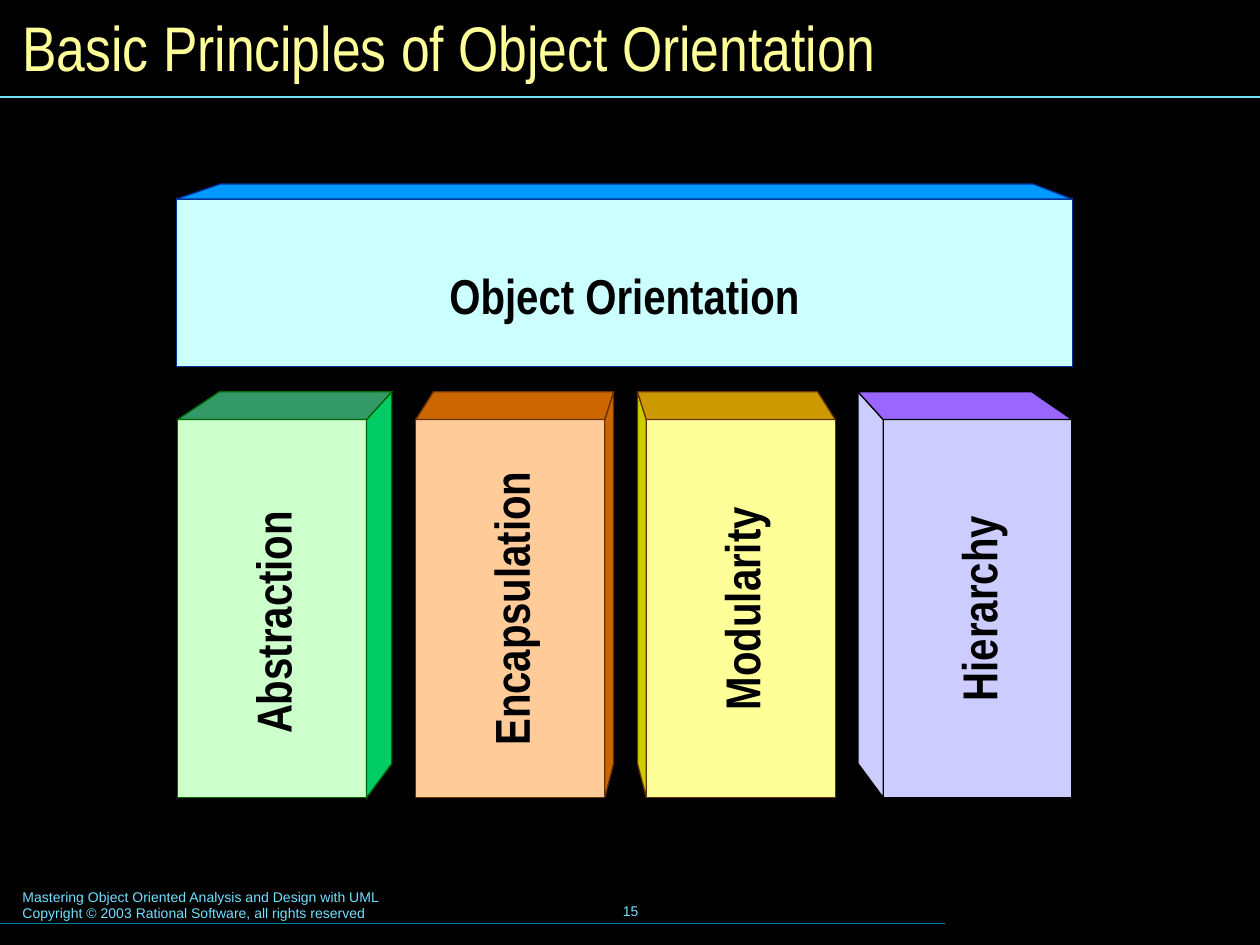
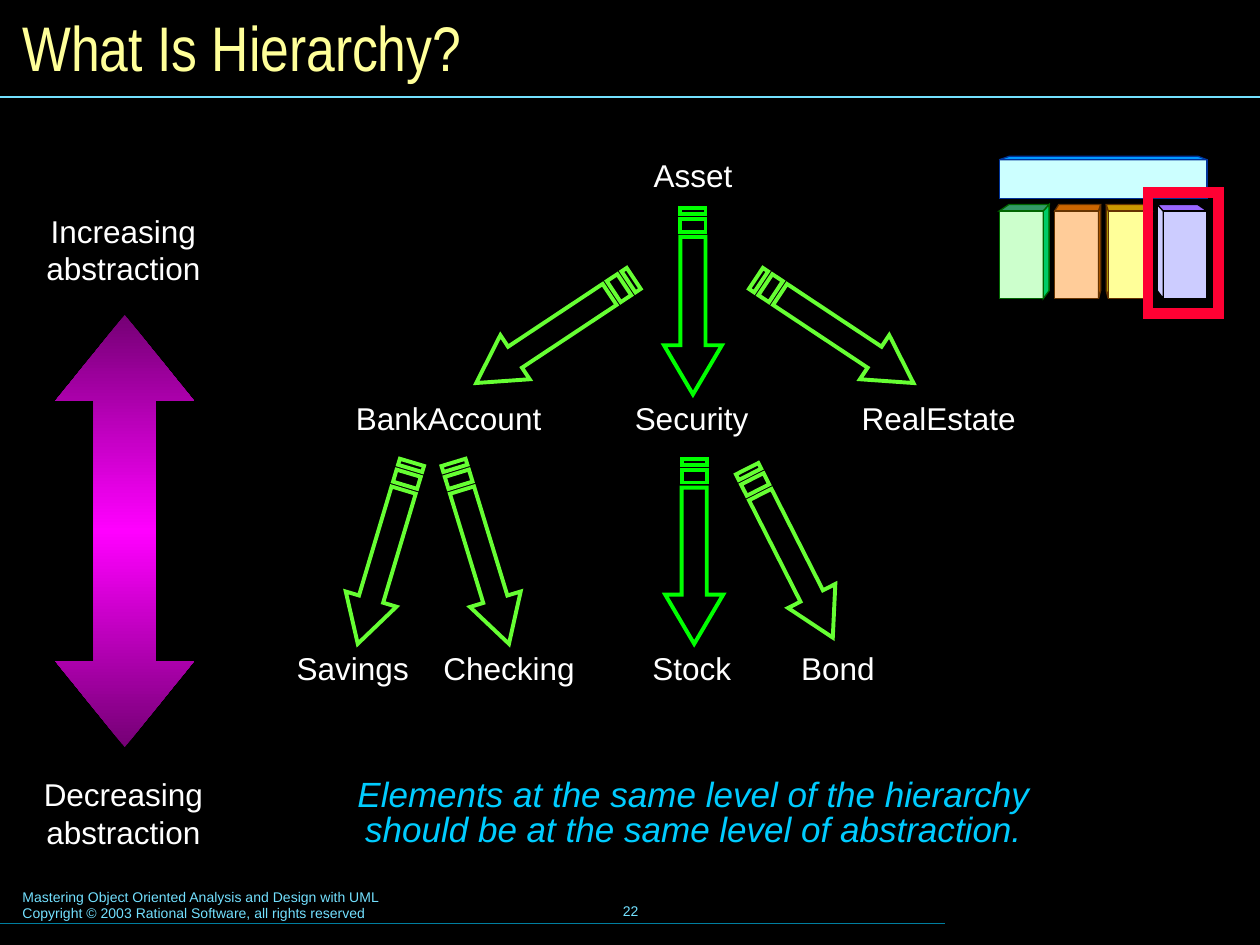
from copy import deepcopy
from math import hypot

from lxml import etree
from pptx import Presentation
from pptx.dml.color import RGBColor
from pptx.enum.shapes import MSO_CONNECTOR, MSO_SHAPE
from pptx.enum.text import MSO_ANCHOR, PP_ALIGN
from pptx.oxml.ns import qn
from pptx.util import Inches, Pt

STRAIGHT = MSO_CONNECTOR.STRAIGHT
RECTANGLE, UP_DOWN_ARROW = MSO_SHAPE.RECTANGLE, MSO_SHAPE.UP_DOWN_ARROW
LEFT, CENTER = PP_ALIGN.LEFT, PP_ALIGN.CENTER
TOP, MIDDLE = MSO_ANCHOR.TOP, MSO_ANCHOR.MIDDLE

# Shared content and styles
WIDTH, HEIGHT = 10, 7.5
FOOTER = ["Mastering Object Oriented Analysis and Design with UML",
          "Copyright © 2003 Rational Software, all rights reserved"]
BACKGROUND, RULE, FOOT_RULE = "000000", "73E1FF", "007E9F"
TITLE_STYLE = {"size": 36, "name": "Arial Narrow", "color": "FFFF99"}
FOOTER_STYLE = {"size": 8, "name": "Arial", "color": RULE}
BLOCK_STYLE = {"size": 28, "name": "Arial Narrow", "color": "000000", "bold": True}
NODE_STYLE = {"size": 18, "name": "Arial", "color": "FFFFFF"}
NOTE_STYLE = {"size": 20, "name": "Arial", "color": "00CCFF", "italic": True}

# Temple: a beam resting on four pillars
TEMPLE_ORIGIN, TEMPLE_WIDTH = (1.4, 1.46), 7.11
BEAM = {"label": "Object Orientation", "left": 1.4, "top": 1.58, "height": 1.33,
        "insets": (0.35, 0.31), "front": "CCFFFF", "lid": "0099FF", "edge": "003399"}
PILLAR_TOP, PILLAR_BACK, PILLAR_WIDTH, PILLAR_HEIGHT = 3.33, 3.11, 1.5, 3
SIDE_FOOT = 6.06
# label, left, depth (sign = visible side), lid inset, label drop, front, side, lid, edge
PILLARS = [
    ("Abstraction", 1.41, 0.2, 0.33, 0.11, "CCFFCC", "00CC66", "339966", "006600"),
    ("Encapsulation", 3.3, 0.07, 0.14, 0, "FFCC99", "CC6600", "CC6600", "663300"),
    ("Modularity", 5.13, -0.07, 0.14, 0, "FFFF99", "CCCC00", "CC9900", "663300"),
    ("Hierarchy", 7.01, -0.2, 0.32, 0, "CCCCFF", "CCCCFF", "9966FF", "000000"),
]

# Hierarchy tree: level top, then (name, centre)
LEVELS = [
    (1.24, [("Asset", 5.5)]),
    (3.17, [("BankAccount", 3.56), ("Security", 5.49), ("RealEstate", 7.45)]),
    (5.15, [("Savings", 2.8), ("Checking", 4.04), ("Stock", 5.49), ("Bond", 6.65)]),
]
LETTER_ROOM, NODE_ROOM = 0.12, 0.3
ARROWS = [  # tail, tip
    ((5.03, 2.21), (3.78, 3.04)), ((5.5, 1.65), (5.5, 3.13)),
    ((6.0, 2.21), (7.25, 3.04)), ((3.27, 3.67), (2.84, 5.11)),
    ((3.6, 3.67), (4.04, 5.11)), ((5.51, 3.64), (5.51, 5.11)),
    ((5.93, 3.72), (6.61, 5.06)),
]
UPRIGHT = {"color": "00FF00", "head": 0.39, "half": 0.23}
SLANTED = {"color": "66FF33", "head": 0.37, "half": 0.21}
SHAFT_HALF, SHAFT_START = 0.1, 0.23
STRIPES = [(0, 0.05), (0.09, 0.19)]
SCALE_LABELS = [(1.63, ["Increasing", "abstraction"]), (6.1, ["Decreasing", "abstraction"])]
SCALE_STOPS = [(0, "750075"), (0.5, "FF00FF"), (1, "750075")]
SCALE_PROPORTIONS = {"adj1": 45000, "adj2": 62000}
NOTE = "Elements at the same level of the hierarchy should be at the same level of abstraction."


def rgb(hex_color):
    return RGBColor.from_string(hex_color)


def paint(shape, fill=None, edge=None, weight=0.75):
    shape.shadow.inherit = False
    if fill:
        shape.fill.solid()
        shape.fill.fore_color.rgb = rgb(fill)
    else:
        shape.fill.background()
    if edge:
        shape.line.color.rgb = rgb(edge)
        shape.line.width = Pt(weight)
        outline = shape._element.spPr.find(qn("a:ln"))
        etree.SubElement(outline, qn("a:miter"), lim="800000")
    else:
        shape.line.fill.background()


def add_box(slide, left, top, width, height, **look):
    box = slide.shapes.add_shape(RECTANGLE, *map(Inches, (left, top, width, height)))
    paint(box, **look)


def add_outline(slide, contours, **look):
    contours = [[(Inches(x), Inches(y)) for x, y in contour] for contour in contours]
    builder = slide.shapes.build_freeform(*contours[0][0], scale=1.0)
    for contour in contours:
        if contour is not contours[0]:
            builder.move_to(*contour[0])
        builder.add_line_segments(contour[1:], close=True)
    paint(builder.convert_to_shape(), **look)


def add_text(slide, lines, left, top, width, height, style, align=LEFT, anchor=TOP,
             wrap=True, insets=(0.1, 0.05), rotation=0, spacing=None):
    box = slide.shapes.add_textbox(*map(Inches, (left, top, width, height)))
    box.rotation = rotation
    frame = box.text_frame
    frame.word_wrap, frame.vertical_anchor = wrap, anchor
    frame.margin_left = frame.margin_right = Inches(insets[0])
    frame.margin_top = frame.margin_bottom = Inches(insets[1])
    for number, line in enumerate(lines):
        paragraph = frame.add_paragraph() if number else frame.paragraphs[0]
        paragraph.alignment, paragraph.line_spacing = align, spacing
        run = paragraph.add_run()
        run.text = line
        for key, value in style.items():
            if key == "color":
                run.font.color.rgb = rgb(value)
            else:
                setattr(run.font, key, Pt(value) if key == "size" else value)


def add_rule(slide, y, length, color):
    rule = slide.shapes.add_connector(STRAIGHT, 0, Inches(y), Inches(length), Inches(y))
    rule.line.color.rgb = rgb(color)
    rule.line.width = Pt(0.75)
    etree.SubElement(rule._element.spPr, qn("a:effectLst"))


def start_slide(deck, title, number):
    slide = deck.slides.add_slide(deck.slide_layouts[6])
    slide.background.fill.solid()
    slide.background.fill.fore_color.rgb = rgb(BACKGROUND)
    add_text(slide, FOOTER, 0.08, 7, 5.1, 0.37, FOOTER_STYLE)
    add_text(slide, [str(number)], 3.42, 6.98, 3.17, 0.5, FOOTER_STYLE, CENTER, MIDDLE)
    add_rule(slide, 7.33, WIDTH * 0.75, FOOT_RULE)
    add_rule(slide, 0.77, WIDTH, RULE)
    add_text(slide, [title], 0.08, 0.08, 9.84, 0.58, TITLE_STYLE, anchor=MIDDLE)
    return slide


def add_temple(slide, origin=TEMPLE_ORIGIN, width=TEMPLE_WIDTH, labelled=True):
    scale = width / TEMPLE_WIDTH

    def place(x, y):
        return (origin[0] + (x - TEMPLE_ORIGIN[0]) * scale,
                origin[1] + (y - TEMPLE_ORIGIN[1]) * scale)

    def add_front(left, top, width, height, **look):
        add_box(slide, *place(left, top), width * scale, height * scale, **look)

    def add_face(points, **look):
        add_outline(slide, [[place(*point) for point in points]], **look)

    def add_label(text, center_x, center_y, width, rotation=0):
        if labelled:
            add_text(slide, [text], center_x - width / 2, center_y - 0.3, width, 0.6,
                     BLOCK_STYLE, CENTER, MIDDLE, rotation=rotation)

    # Beam
    left, top, edge = BEAM["left"], BEAM["top"], BEAM["edge"]
    right, back = left + TEMPLE_WIDTH, TEMPLE_ORIGIN[1]
    inset_left, inset_right = BEAM["insets"]
    add_front(left, top, TEMPLE_WIDTH, BEAM["height"], fill=BEAM["front"], edge=edge)
    add_face([(right, top), (right - inset_right, back), (left + inset_left, back),
              (left, top)], fill=BEAM["lid"], edge=edge)
    add_label(BEAM["label"], (left + right) / 2, 2.34, TEMPLE_WIDTH)

    # Pillars
    foot = PILLAR_TOP + PILLAR_HEIGHT
    for label, left, depth, inset, drop, front, side, lid, edge in PILLARS:
        near, far = left + PILLAR_WIDTH, left
        if depth < 0:
            near, far, inset = far, near, -inset
        add_front(left, PILLAR_TOP, PILLAR_WIDTH, PILLAR_HEIGHT, fill=front, edge=edge)
        add_face([(near + depth, PILLAR_BACK), (near, PILLAR_TOP), (near, foot),
                  (near + depth, SIDE_FOOT)], fill=side, edge=edge)
        add_face([(far, PILLAR_TOP), (far + inset, PILLAR_BACK),
                  (near + depth, PILLAR_BACK), (near, PILLAR_TOP)], fill=lid, edge=edge)
        add_label(label, left + PILLAR_WIDTH / 2, PILLAR_TOP + PILLAR_HEIGHT / 2 + drop,
                  PILLAR_HEIGHT, rotation=270)


def add_striped_arrow(slide, tail, tip):
    look = UPRIGHT if tail[0] == tip[0] else SLANTED
    dx, dy = tip[0] - tail[0], tip[1] - tail[1]
    length = hypot(dx, dy)
    ux, uy = dx / length, dy / length
    neck, half = length - look["head"], look["half"]
    body = [(SHAFT_START, -SHAFT_HALF), (neck, -SHAFT_HALF), (neck, -half), (length, 0),
            (neck, half), (neck, SHAFT_HALF), (SHAFT_START, SHAFT_HALF)]
    stripes = [[(start, -SHAFT_HALF), (end, -SHAFT_HALF), (end, SHAFT_HALF),
                (start, SHAFT_HALF)] for start, end in STRIPES]
    contours = [[(tail[0] + along * ux - across * uy, tail[1] + along * uy + across * ux)
                 for along, across in contour] for contour in [body, *stripes]]
    add_outline(slide, contours, edge=look["color"], weight=2.25)


def add_abstraction_scale(slide):
    arrow = slide.shapes.add_shape(UP_DOWN_ARROW, *map(Inches, (0.44, 2.5, 1.1, 3.43)))
    paint(arrow)
    properties = arrow._element.spPr
    guides = properties.find(".//" + qn("a:avLst"))
    guides.clear()
    for name, share in SCALE_PROPORTIONS.items():
        etree.SubElement(guides, qn("a:gd"), name=name, fmla=f"val {share}")
    arrow.fill.gradient()
    arrow.fill.gradient_angle = 90
    stops = properties.find(".//" + qn("a:gsLst"))
    stops.insert(1, deepcopy(stops[0]))
    for stop, (position, color) in zip(arrow.fill.gradient_stops, SCALE_STOPS):
        stop.position, stop.color.rgb = position, rgb(color)
    for top, lines in SCALE_LABELS:
        add_text(slide, lines, 0.16, top, 1.64, 0.7, NODE_STYLE, CENTER, wrap=False)


def add_tree(slide):
    for top, nodes in LEVELS:
        for name, center in nodes:
            width = len(name) * LETTER_ROOM + NODE_ROOM
            add_text(slide, [name], center - width / 2, top, width, 0.3, NODE_STYLE,
                     CENTER, wrap=False, insets=(0, 0))
    for tail, tip in ARROWS:
        add_striped_arrow(slide, tail, tip)


def main():
    deck = Presentation()
    deck.slide_width, deck.slide_height = Inches(WIDTH), Inches(HEIGHT)

    # Principles
    principles = start_slide(deck, "Basic Principles of Object Orientation", 15)
    add_temple(principles)

    # Hierarchy
    hierarchy = start_slide(deck, "What Is Hierarchy?", 22)
    add_abstraction_scale(hierarchy)
    add_tree(hierarchy)
    add_text(hierarchy, [NOTE], 2.55, 6.13, 5.91, 0.67, NOTE_STYLE, CENTER, spacing=0.85)
    add_temple(hierarchy, origin=(7.93, 1.24), width=1.65, labelled=False)
    add_box(hierarchy, 9.11, 1.53, 0.56, 0.96, edge="FF0033", weight=6)

    deck.save("out.pptx")


if __name__ == "__main__":
    main()
